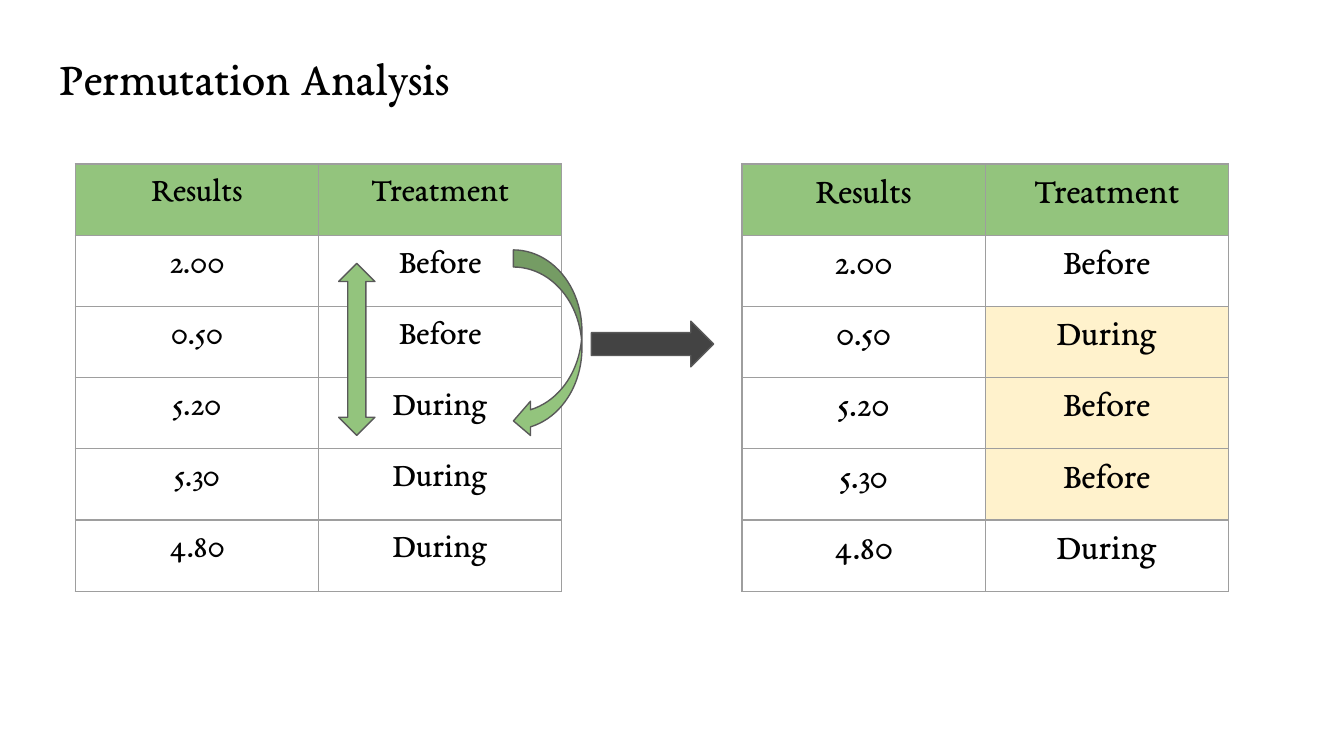
from lxml import etree
from pptx import Presentation
from pptx.dml.color import RGBColor
from pptx.enum.shapes import MSO_SHAPE
from pptx.enum.text import MSO_ANCHOR, MSO_AUTO_SIZE, PP_ALIGN
from pptx.oxml.ns import qn
from pptx.util import Inches, Pt

FONT = "EB Garamond"
BLACK = "000000"
GREEN = "93C47D"
CREAM = "FFF2CC"
DARK_GRAY = "434343"
OUTLINE = "595959"
GRID = "9E9E9E"
SLIDE_WIDTH = 10
SLIDE_HEIGHT = SLIDE_WIDTH * 9 / 16
INSET = 0.1
COLUMN_WIDTH = 1.81
ROW_HEIGHT = 0.53
TABLE_TOP = 1.22
LEFT_TABLE = 0.56
RIGHT_TABLE = 5.52

HEADERS = ["Results", "Treatment"]
RESULTS = ["2.00", "0.50", "5.20", "5.30", "4.80"]
OBSERVED = ["Before", "Before", "During", "During", "During"]
PERMUTED = ["Before", "During", "Before", "Before", "During"]


def color(hex_string):
    return RGBColor.from_string(hex_string)


def write_text(text_frame, text, size=18, align=PP_ALIGN.LEFT, fill=BLACK):
    paragraph = text_frame.paragraphs[0]
    paragraph.alignment = align
    run = paragraph.add_run()
    run.text = text
    run.font.name = FONT
    run.font.size = Pt(size)
    run.font.color.rgb = color(fill)


def add_borders(cell):
    properties = cell._tc.get_or_add_tcPr()
    for side in ("lnL", "lnR", "lnT", "lnB"):
        line = etree.SubElement(properties, qn(f"a:{side}"), w=str(Pt(0.75)))
        solid = etree.SubElement(line, qn("a:solidFill"))
        etree.SubElement(solid, qn("a:srgbClr"), val=GRID)


def format_cell(cell, text, size, fill):
    cell.margin_left = cell.margin_right = Inches(INSET)
    cell.margin_top = cell.margin_bottom = Inches(INSET)
    cell.vertical_anchor = MSO_ANCHOR.TOP
    add_borders(cell)
    if fill:
        cell.fill.solid()
        cell.fill.fore_color.rgb = color(fill)
    else:
        cell.fill.background()
    write_text(cell.text_frame, text, size=size, align=PP_ALIGN.CENTER)


def add_title(slide, left, top, width, height):
    title = slide.shapes.title
    title.left, title.top = Inches(left), Inches(top)
    title.width, title.height = Inches(width), Inches(height)
    frame = title.text_frame
    frame.margin_left = frame.margin_right = Inches(INSET)
    frame.margin_top = frame.margin_bottom = Inches(INSET)
    frame.vertical_anchor = MSO_ANCHOR.TOP
    frame.auto_size = MSO_AUTO_SIZE.NONE
    frame.word_wrap = True
    write_text(frame, "Permutation Analysis", size=25.2)


def add_treatment_table(slide, left, top, treatments, size):
    rows = [HEADERS, *zip(RESULTS, treatments)]
    table = slide.shapes.add_table(
        len(rows), len(HEADERS), Inches(left), Inches(top),
        Inches(COLUMN_WIDTH * len(HEADERS)), Inches(ROW_HEIGHT * len(rows)),
    ).table
    table.first_row = table.horz_banding = False
    for column in table.columns:
        column.width = Inches(COLUMN_WIDTH)
    for row in table.rows:
        row.height = Inches(ROW_HEIGHT)
    for row_index, values in enumerate(rows):
        for column_index, text in enumerate(values):
            fill = None
            if row_index == 0:
                fill = GREEN
            elif column_index == 1 and text != OBSERVED[row_index - 1]:
                fill = CREAM
            format_cell(table.cell(row_index, column_index), text, size, fill)


def add_arrow(slide, kind, left, top, width, height, fill):
    arrow = slide.shapes.add_shape(
        kind, Inches(left), Inches(top), Inches(width), Inches(height)
    )
    arrow.shadow.inherit = False
    arrow.fill.solid()
    arrow.fill.fore_color.rgb = color(fill)
    arrow.line.color.rgb = color(OUTLINE)
    arrow.line.width = Pt(0.75)


def add_swap_arrows(slide, left, top):
    add_arrow(slide, MSO_SHAPE.UP_DOWN_ARROW,
              left + 1.96, top + 0.74, 0.27, 1.28, GREEN)
    add_arrow(slide, MSO_SHAPE.CURVED_LEFT_ARROW,
              left + 3.26, top + 0.64, 0.51, 1.4, GREEN)


def main():
    presentation = Presentation()
    presentation.slide_width = Inches(SLIDE_WIDTH)
    presentation.slide_height = Inches(SLIDE_HEIGHT)
    slide = presentation.slides.add_slide(presentation.slide_layouts[5])
    add_title(slide, 0.34, 0.26, 9.32, 0.63)
    add_treatment_table(slide, LEFT_TABLE, TABLE_TOP, OBSERVED, size=18)
    add_arrow(slide, MSO_SHAPE.RIGHT_ARROW, 4.4, 2.39, 0.91, 0.34, DARK_GRAY)
    add_treatment_table(slide, RIGHT_TABLE, TABLE_TOP, PERMUTED, size=19)
    add_swap_arrows(slide, LEFT_TABLE, TABLE_TOP)
    presentation.save("out.pptx")


if __name__ == "__main__":
    main()
